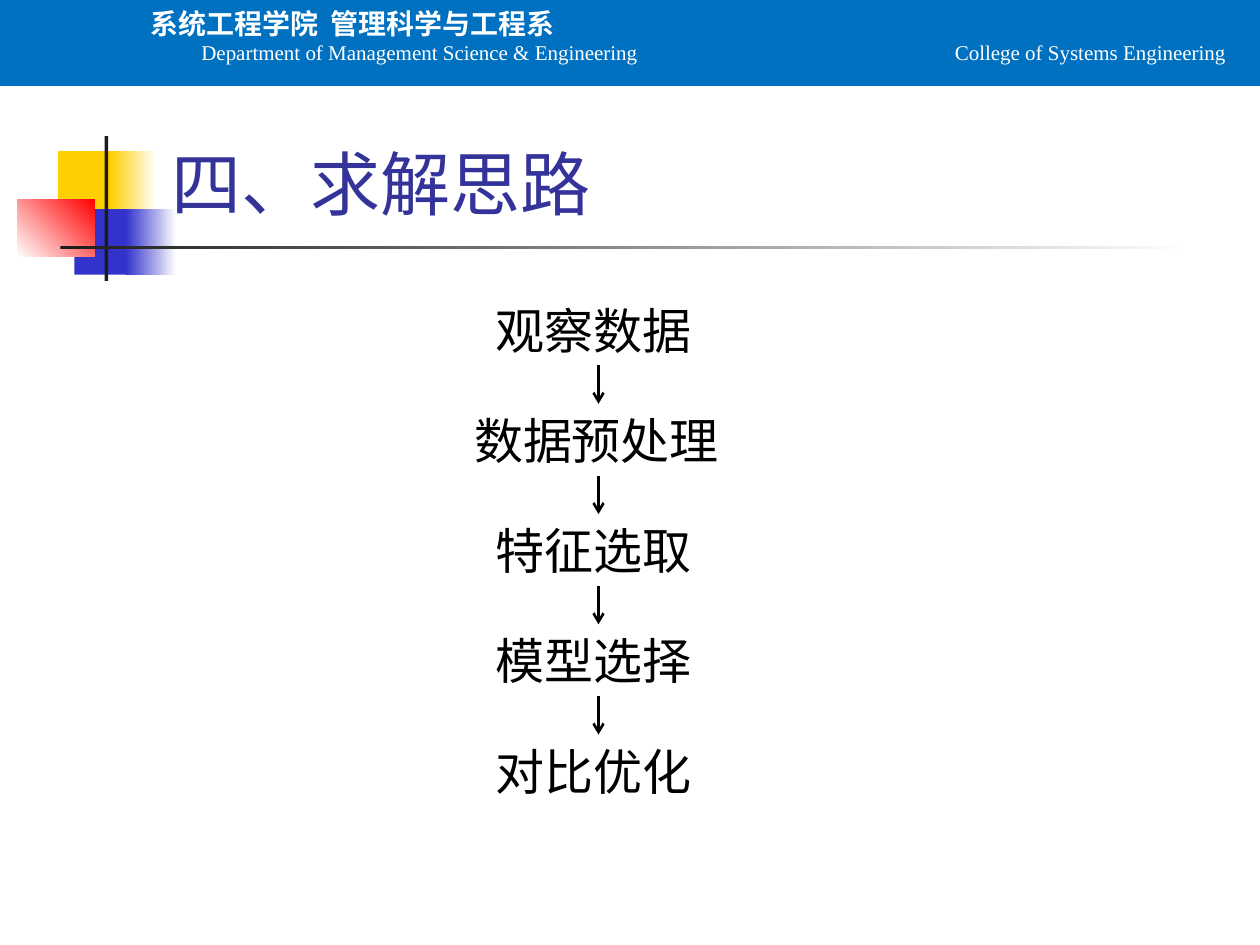
"""Build the slide that lists the steps of the solution approach."""
from itertools import pairwise

from lxml import etree
from pptx import Presentation
from pptx.dml.color import RGBColor
from pptx.enum import shapes, text
from pptx.oxml import ns
from pptx.util import Inches, Pt

WHITE = RGBColor(0xFF, 0xFF, 0xFF)
BLACK = RGBColor(0x00, 0x00, 0x00)
CHARCOAL = RGBColor(0x1C, 0x1C, 0x1C)
YELLOW = RGBColor(0xFF, 0xCF, 0x01)
BLUE = RGBColor(0x33, 0x33, 0xCC)
RED = RGBColor(0xFF, 0x00, 0x00)
BANNER_BLUE = RGBColor(0x00, 0x70, 0xC0)
TITLE_BLUE = RGBColor(0x33, 0x33, 0x99)

CHINESE_FONT = "Noto Sans CJK SC"
ENGLISH_FONT = "Times New Roman"
TITLE_FONT = "Cabin"

STEPS = ["观察数据", "数据预处理", "特征选取", "模型选择", "对比优化"]
STEP_CENTER, STEP_HEIGHT = 4.75, 0.57
FIRST_TOP, LAST_TOP = 2.33, 5.83

ORNAMENT = [
    ((0.46, 1.2, 0.48, 0.52), (YELLOW,), 0),
    ((0.88, 1.2, 0.36, 0.52), (YELLOW, WHITE), 0),
    ((0.59, 1.66, 0.46, 0.52), (BLUE,), 0),
    ((1, 1.66, 0.4, 0.52), (BLUE, WHITE), 0),
    ((0.14, 1.58, 0.61, 0.46), (WHITE, RED), 45),
    ((0.83, 1.08, 0.03, 1.15), (CHARCOAL,), 0),
    ((0.48, 1.95, 9, 0.03), (CHARCOAL, WHITE), 0),
]


def add_block(slide, box, colors, angle=0):
    """Add a borderless rectangle with one colour or a two-colour gradient."""
    block = slide.shapes.add_shape(
        shapes.MSO_SHAPE.RECTANGLE, *map(Inches, box))
    block.shadow.inherit = False
    block.line.fill.background()
    if len(colors) == 1:
        block.fill.solid()
        block.fill.fore_color.rgb = colors[0]
    else:
        block.fill.gradient()
        block.fill.gradient_angle = angle
        for stop, color in zip(block.fill.gradient_stops, colors):
            stop.color.rgb = color
    return block


def write(paragraph, wording, size, font, color, bold=False):
    """Put left-aligned wording into a paragraph and format its runs."""
    paragraph.text = wording
    paragraph.alignment = text.PP_ALIGN.LEFT
    for run in paragraph.runs:
        run.font.size = Pt(size)
        run.font.name = font
        run.font.bold = bold
        run.font.color.rgb = color
        east_asian = etree.SubElement(run.font._element, ns.qn("a:ea"))
        east_asian.set("typeface", font)


def add_banner(slide):
    """Add the blue band with the department and college names."""
    band = add_block(slide, (0, 0, 10, 0.67), (BANNER_BLUE,))
    band.line.color.rgb = BANNER_BLUE
    band.line.width = Pt(2)
    names = slide.shapes.add_textbox(
        Inches(1.1), 0, Inches(8.9), Inches(0.64)).text_frame
    names.word_wrap = True
    write(names.paragraphs[0], "系统工程学院  管理科学与工程系",
          16, CHINESE_FONT, WHITE, bold=True)
    english = names.add_paragraph()
    write(english, "Department of Management Science & Engineering\t"
          "College of Systems Engineering", 12, ENGLISH_FONT, WHITE)
    properties = english._p.get_or_add_pPr()
    properties.set("marL", str(Inches(0.4)))
    tabs = etree.SubElement(properties, ns.qn("a:tabLst"))
    etree.SubElement(tabs, ns.qn("a:tab"), pos=str(Inches(5.98)), algn="l")


def add_title(slide, wording):
    """Add the slide title."""
    title = slide.shapes.add_textbox(
        Inches(1.26), Inches(1.08), Inches(8.52), Inches(0.75)).text_frame
    title.word_wrap = True
    title.vertical_anchor = text.MSO_ANCHOR.BOTTOM
    write(title.paragraphs[0], wording, 40, TITLE_FONT, TITLE_BLUE)


def add_step(slide, wording, top):
    """Add a step whose width follows the number of characters."""
    width = 0.34 * len(wording) + 0.47
    step = add_block(
        slide, (STEP_CENTER - width / 2, top, width, STEP_HEIGHT), (WHITE,))
    step.text_frame.word_wrap = True
    step.text_frame.vertical_anchor = text.MSO_ANCHOR.MIDDLE
    write(step.text_frame.paragraphs[0], wording, 28, CHINESE_FONT, BLACK)
    return step


def add_arrow(slide, upper, lower):
    """Join the bottom of one step to the top of the next."""
    arrow = slide.shapes.add_connector(
        shapes.MSO_CONNECTOR.STRAIGHT, 0, 0, 0, 0)
    arrow.begin_connect(upper, 2)
    arrow.end_connect(lower, 0)
    arrow.line.color.rgb = BLACK
    arrow.line.width = Pt(1.5)
    etree.SubElement(arrow.line._get_or_add_ln(), ns.qn("a:tailEnd"),
                     type="arrow")
    etree.SubElement(arrow._element.spPr, ns.qn("a:effectLst"))


def main():
    """Assemble and save the slide."""
    deck = Presentation()
    deck.slide_width, deck.slide_height = Inches(10), Inches(7.5)
    slide = deck.slides.add_slide(deck.slide_layouts[6])
    for box, colors, angle in ORNAMENT:
        add_block(slide, box, colors, angle)
    add_banner(slide)
    add_title(slide, "四、求解思路")
    pitch = (LAST_TOP - FIRST_TOP) / (len(STEPS) - 1)
    steps = [add_step(slide, wording, FIRST_TOP + row * pitch)
             for row, wording in enumerate(STEPS)]
    for upper, lower in pairwise(steps):
        add_arrow(slide, upper, lower)
    deck.save("out.pptx")


if __name__ == "__main__":
    main()
